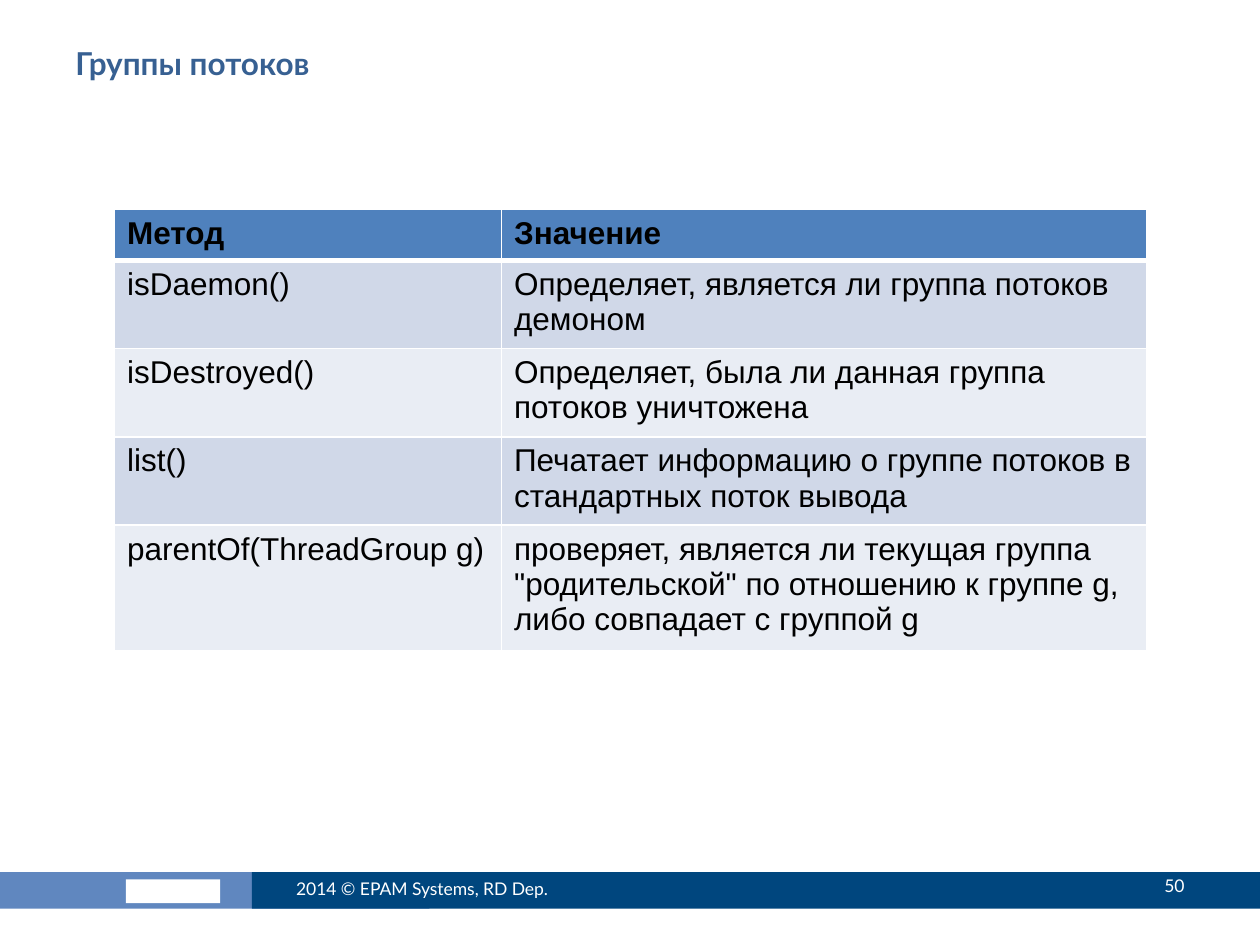
from lxml import etree
from pptx import Presentation
from pptx import util as u
from pptx.dml.color import RGBColor
from pptx.enum import shapes, text
from pptx.oxml.ns import qn

METHODS = [
    ("Метод", "Значение"),
    ("isDaemon()", "Определяет, является ли группа потоков демоном"),
    ("isDestroyed()", "Определяет, была ли данная группа потоков уничтожена"),
    ("list()", "Печатает информацию о группе потоков в стандартных поток вывода"),
    ("parentOf(ThreadGroup g)",
     'проверяет, является ли текущая группа "родительской" '
     "по отношению к группе g, либо совпадает с группой g"),
]


def colour(value):
    return RGBColor.from_string(value)


class SlideBuilder:
    title = {"name": "Lato", "size": u.Pt(18), "bold": True}
    footer = {"name": "Lato", "size": u.Pt(10), "bold": False}
    head = {"name": "Arial", "size": u.Pt(18), "bold": True}
    body = {**head, "bold": False}
    head_fill, band_fills = "4F81BD", ("D0D8E8", "E9EDF4")

    def __init__(self, page):
        self.page = page

    def add_words(self, frame, words, style, ink, align=text.PP_ALIGN.LEFT):
        para = frame.paragraphs[0]
        para.alignment = align
        span = para.add_run()
        span.text = words
        for key, value in style.items():
            setattr(span.font, key, value)
        span.font.color.rgb = colour(ink)

    def bar(self, place, fill):
        box = self.page.shapes.add_shape(
            shapes.MSO_SHAPE.RECTANGLE, *map(u.Cm, place))
        box.shadow.inherit = False
        box.fill.solid()
        box.fill.fore_color.rgb = colour(fill)
        box.line.fill.background()

    def label(self, place, words, style, ink,
              anchor=text.MSO_ANCHOR.MIDDLE, align=text.PP_ALIGN.LEFT):
        box = self.page.shapes.add_textbox(*map(u.Cm, place))
        frame = box.text_frame
        frame.word_wrap = True
        frame.vertical_anchor = anchor
        self.add_words(frame, words, style, ink, align)

    def borders(self, cell, widths):
        props = cell._tc.get_or_add_tcPr()
        for index, (side, width) in enumerate(widths.items()):
            line = etree.Element(qn(f"a:{side}"), w=str(u.Pt(width)))
            fill = etree.SubElement(line, qn("a:solidFill"))
            etree.SubElement(fill, qn("a:srgbClr"), val="FFFFFF")
            props.insert(index, line)

    def table(self, left, top, widths, row_height, rows):
        grid = self.page.shapes.add_table(
            len(rows), len(widths), u.Cm(left), u.Cm(top),
            u.Cm(sum(widths)), u.Cm(row_height * len(rows))).table
        for column, width in zip(grid.columns, widths):
            column.width = u.Cm(width)
        for r, row in enumerate(rows):
            grid.rows[r].height = u.Cm(row_height)
            for c, words in enumerate(row):
                cell = grid.cell(r, c)
                cell.fill.solid()
                cell.fill.fore_color.rgb = colour(
                    self.band_fills[(r - 1) % 2] if r else self.head_fill)
                self.add_words(cell.text_frame, words,
                               self.body if r else self.head, "000000")
                # The rule under the header is thicker
                self.borders(cell, {"lnL": 1, "lnR": 1,
                                    "lnT": 3 if r == 1 else 1,
                                    "lnB": 3 if r == 0 else 1})


def main():
    deck = Presentation()
    deck.slide_width, deck.slide_height = u.Cm(25.4), u.Cm(19.05)
    slide = SlideBuilder(deck.slides.add_slide(deck.slide_layouts[6]))

    # Footer bars with a plain badge
    slide.bar((-0.05, 17.58, 8.71, 0.74), "6087BF")
    slide.bar((2.54, 17.73, 1.9, 0.48), "FFFFFF")
    slide.bar((5.08, 17.58, 20.32, 0.74), "00467E")

    # Title
    slide.label((1.27, 0.76, 22.86, 1.98), "Группы потоков",
                slide.title, "376092", anchor=text.MSO_ANCHOR.TOP)

    # Footer text
    slide.label((5.72, 17.4, 6.78, 1.02), "2014 © EPAM Systems, RD Dep.",
                slide.footer, "FFFFFF")
    slide.label((21.39, 17.35, 2.74, 1.02), "50",
                slide.footer, "FFFFFF", align=text.PP_ALIGN.RIGHT)

    # Methods table
    slide.table(2.31, 4.22, (7.8, 13), 1.03, METHODS)

    deck.save("out.pptx")


if __name__ == "__main__":
    main()
